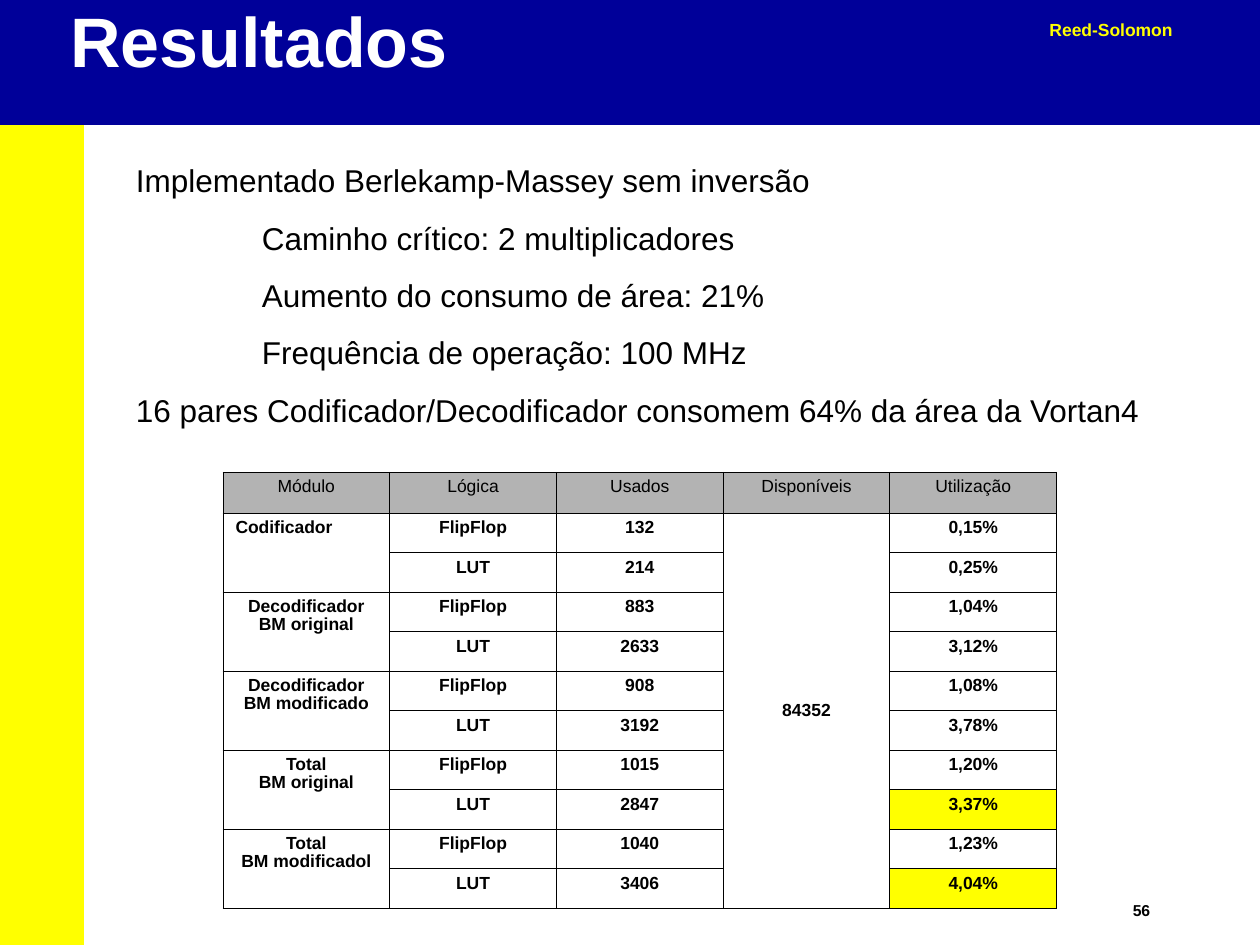
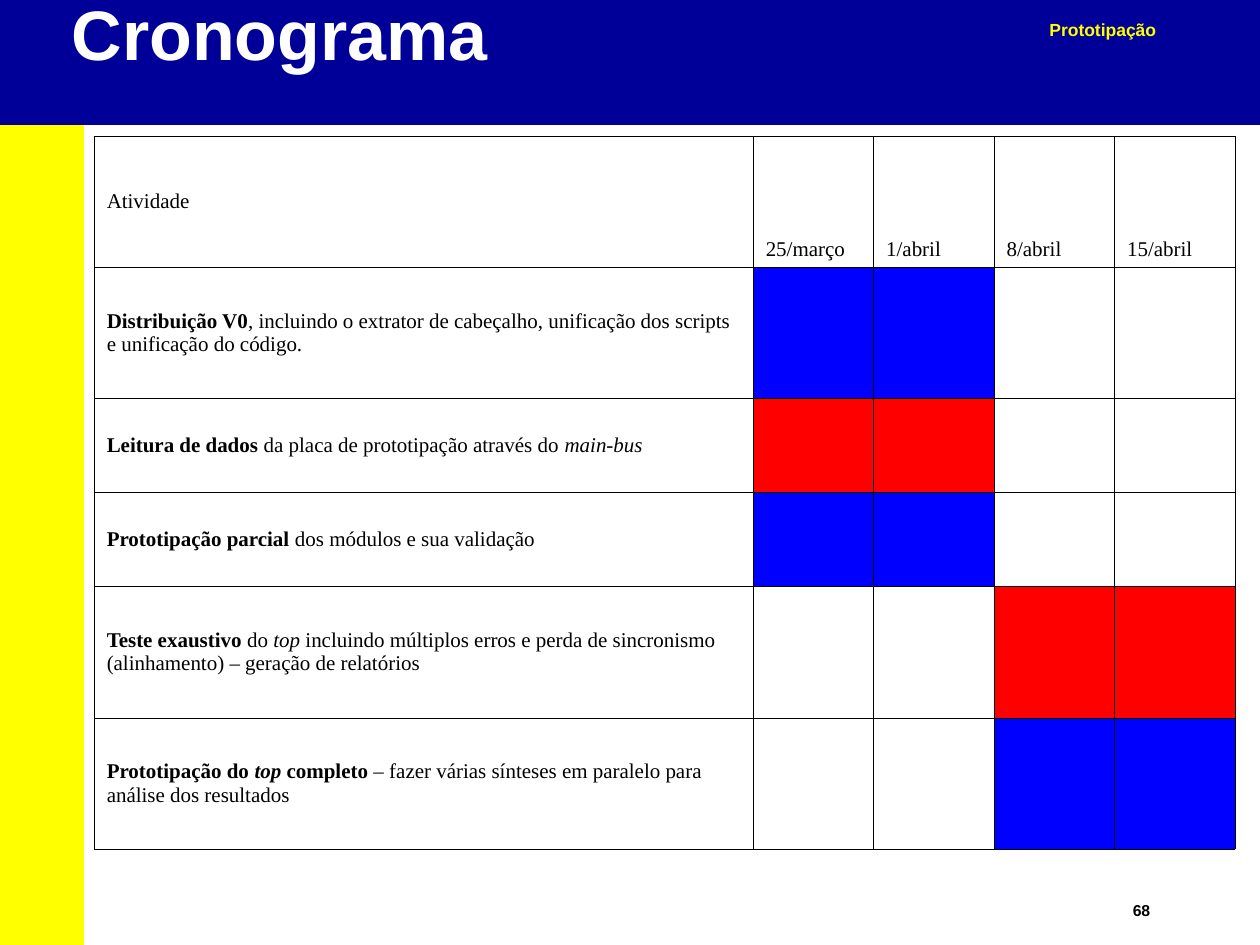
from dataclasses import dataclass

from lxml.etree import SubElement
from pptx import Presentation
from pptx.dml.color import RGBColor
from pptx.enum.shapes import MSO_SHAPE
from pptx.enum.text import MSO_ANCHOR, PP_ALIGN
from pptx.oxml.ns import qn
from pptx.slide import Slide
from pptx.table import Table, _Cell
from pptx.text.text import TextFrame, _Paragraph
from pptx.util import Pt

BLACK = RGBColor(0x00, 0x00, 0x00)
WHITE = RGBColor(0xFF, 0xFF, 0xFF)
NAVY = RGBColor(0x00, 0x00, 0x99)
YELLOW = RGBColor(0xFF, 0xFF, 0x00)
GRAY = RGBColor(0xB3, 0xB3, 0xB3)
BLUE = RGBColor(0x00, 0x00, 0xFF)
RED = RGBColor(0xFF, 0x00, 0x00)

BORDER_WIDTH = Pt(0.45)


@dataclass(frozen=True)
class Box:
    left: float
    top: float
    width: float
    height: float

    def lengths(self) -> tuple[Pt, Pt, Pt, Pt]:
        return Pt(self.left), Pt(self.top), Pt(self.width), Pt(self.height)


@dataclass(frozen=True)
class Style:
    size: float
    color: RGBColor = BLACK
    bold: bool = False
    font: str = "Arial"
    line_spacing: float = 1.0
    align: PP_ALIGN = PP_ALIGN.LEFT


@dataclass(frozen=True)
class Span:
    text: str
    bold: bool = False
    italic: bool = False


@dataclass(frozen=True)
class Module:
    lines: tuple[str, ...]
    flip_flops: tuple[str, str]
    luts: tuple[str, str]
    highlighted: bool = False
    align: PP_ALIGN = PP_ALIGN.CENTER


@dataclass(frozen=True)
class Activity:
    spans: tuple[Span, ...]
    height: float
    color: RGBColor
    weeks: tuple[int, int]


TITLE = Style(40, WHITE, True, line_spacing=0.87)
TOPIC = Style(10, YELLOW, True)
PAGE_NUMBER = Style(9, bold=True, line_spacing=0.97)
BODY = Style(18)
RESULT_HEADER = Style(10, line_spacing=0.9, align=PP_ALIGN.CENTER)
RESULT = Style(10, bold=True, line_spacing=0.9, align=PP_ALIGN.CENTER)
RESULT_LEFT = Style(10, bold=True, line_spacing=0.9)
SCHEDULE = Style(12, font="Times New Roman")

BANDS = (
    (Box(0, 66.2, 48, 473.8), YELLOW),
    (Box(0, 0, 720, 71.4), NAVY),
)

FINDINGS = (
    (0, "Implementado Berlekamp-Massey sem inversão"),
    (72, "Caminho crítico: 2 multiplicadores"),
    (72, "Aumento do consumo de área: 21%"),
    (72, "Frequência de operação: 100 MHz"),
    (0, "16 pares Codificador/Decodificador consomem 64% da área da Vortan4"),
)

RESULT_COLUMNS = ("Módulo", "Lógica", "Usados", "Disponíveis", "Utilização")
MODULES = (
    Module(("Codificador",), ("132", "0,15%"), ("214", "0,25%"), align=PP_ALIGN.LEFT),
    Module(("Decodificador", "BM original"), ("883", "1,04%"), ("2633", "3,12%")),
    Module(("Decodificador", "BM modificado"), ("908", "1,08%"), ("3192", "3,78%")),
    Module(("Total", "BM original"), ("1015", "1,20%"), ("2847", "3,37%"), True),
    Module(("Total", "BM modificadol"), ("1040", "1,23%"), ("3406", "4,04%"), True),
)

DATES = ("25/março", "1/abril", "8/abril", "15/abril")
FIRST_WEEKS, LAST_WEEKS = (1, 2), (3, 4)
TALL_ROW, SHORT_ROW = 75, 53.7
ACTIVITIES = (
    Activity((Span("Distribuição V0", True),
              Span(", incluindo o extrator de cabeçalho, unificação dos scripts "
                   "e unificação do código.")),
             TALL_ROW, BLUE, FIRST_WEEKS),
    Activity((Span("Leitura de dados", True),
              Span(" da placa de prototipação através do "),
              Span("main-bus", italic=True)),
             SHORT_ROW, RED, FIRST_WEEKS),
    Activity((Span("Prototipação parcial", True),
              Span(" dos módulos e sua validação")),
             SHORT_ROW, BLUE, FIRST_WEEKS),
    Activity((Span("Teste exaustivo", True), Span(" do "), Span("top", italic=True),
              Span(" incluindo múltiplos erros e perda de sincronismo "
                   "(alinhamento) – geração de relatórios")),
             TALL_ROW, RED, LAST_WEEKS),
    Activity((Span("Prototipação do ", True), Span("top", True, True),
              Span(" completo", True),
              Span(" – fazer várias sínteses em paralelo para análise dos resultados")),
             TALL_ROW, BLUE, LAST_WEEKS),
)


def write_spans(paragraph: _Paragraph, spans: tuple[Span, ...], style: Style) -> None:
    paragraph.alignment = style.align
    paragraph.line_spacing = style.line_spacing
    for span in spans:
        run = paragraph.add_run()
        run.text = span.text
        run.font.name = style.font
        run.font.size = Pt(style.size)
        run.font.color.rgb = style.color
        run.font.bold = span.bold
        run.font.italic = span.italic


def write_lines(frame: TextFrame, lines: tuple[str, ...], style: Style) -> None:
    for index, line in enumerate(lines):
        paragraph = frame.add_paragraph() if index else frame.paragraphs[0]
        write_spans(paragraph, (Span(line, style.bold),), style)


def add_text(slide: Slide, box: Box, lines: tuple[str, ...], style: Style,
             margins: tuple[float, float] = (7.2, 3.6)) -> TextFrame:
    frame = slide.shapes.add_textbox(*box.lengths()).text_frame
    frame.word_wrap = True
    frame.margin_left = frame.margin_right = Pt(margins[0])
    frame.margin_top = frame.margin_bottom = Pt(margins[1])
    write_lines(frame, lines, style)
    return frame


def add_base_slide(presentation: Presentation, title: str, title_box: Box,
                   topic: str, number: str) -> Slide:
    slide = presentation.slides.add_slide(presentation.slide_layouts[6])
    for box, color in BANDS:
        band = slide.shapes.add_shape(MSO_SHAPE.RECTANGLE, *box.lengths())
        band.shadow.inherit = False
        band.fill.solid()
        band.fill.fore_color.rgb = color
        band.line.fill.background()
    tight = (4.3, 1.4)
    add_text(slide, Box(643, 514, 52, 13.7), (number,), PAGE_NUMBER, tight)
    add_text(slide, title_box, (title,), TITLE, tight)
    add_text(slide, Box(592.6, 7.2, 187, 19.4), (topic,), TOPIC)
    return slide


def fill_cell(cell: _Cell, color: RGBColor) -> None:
    cell.fill.solid()
    cell.fill.fore_color.rgb = color


def draw_borders(cell: _Cell) -> None:
    """Put thin black lines on all four sides, ahead of the cell's fill."""
    properties = cell._tc.get_or_add_tcPr()
    for position, side in enumerate(("a:lnL", "a:lnR", "a:lnT", "a:lnB")):
        line = SubElement(properties, qn(side), w=str(BORDER_WIDTH))
        fill = SubElement(line, qn("a:solidFill"))
        SubElement(fill, qn("a:srgbClr"), val=str(BLACK))
        properties.insert(position, line)


def add_grid(slide: Slide, left: float, top: float,
             widths: list[float], heights: list[float]) -> Table:
    """Add a bordered table without fills, sized by its columns and rows."""
    box = Box(left, top, sum(widths), sum(heights))
    table = slide.shapes.add_table(len(heights), len(widths), *box.lengths()).table
    table.first_row = table.horz_banding = False
    for column, width in zip(table.columns, widths):
        column.width = Pt(width)
    for row, height in zip(table.rows, heights):
        row.height = Pt(height)
    for cell in table.iter_cells():
        cell.fill.background()
        draw_borders(cell)
    return table


def add_findings(slide: Slide) -> None:
    lines = tuple(text for _, text in FINDINGS)
    frame = add_text(slide, Box(70.6, 88.6, 623.5, 160.6), lines, BODY)
    for paragraph, (indent, _) in zip(frame.paragraphs, FINDINGS):
        paragraph.space_before = Pt(11.2)
        paragraph._p.get_or_add_pPr().set("marL", str(Pt(indent)))


def add_results_table(slide: Slide) -> None:
    table = add_grid(slide, 127.4, 269.8, [95.3] * 5, [23.5] + [22.57] * 10)
    for column, name in enumerate(RESULT_COLUMNS):
        cell = table.cell(0, column)
        fill_cell(cell, GRAY)
        write_lines(cell.text_frame, (name,), RESULT_HEADER)

    for index, module in enumerate(MODULES):
        top = 1 + 2 * index
        name_cell = table.cell(top, 0)
        name_cell.merge(table.cell(top + 1, 0))
        name_style = RESULT_LEFT if module.align == PP_ALIGN.LEFT else RESULT
        write_lines(name_cell.text_frame, module.lines, name_style)
        logic_rows = (("FlipFlop", *module.flip_flops), ("LUT", *module.luts))
        for row, values in enumerate(logic_rows, top):
            for column, value in zip((1, 2, 4), values):
                write_lines(table.cell(row, column).text_frame, (value,), RESULT)
        if module.highlighted:
            fill_cell(table.cell(top + 1, 4), YELLOW)

    available = table.cell(1, 3)
    available.merge(table.cell(10, 3))
    available.vertical_anchor = MSO_ANCHOR.MIDDLE
    write_lines(available.text_frame, ("84352",), RESULT)


def add_schedule_table(slide: Slide) -> None:
    heights = [TALL_ROW] + [activity.height for activity in ACTIVITIES]
    table = add_grid(slide, 53.8, 77.9, [376.6] + [68.85] * 4, heights)
    for column, heading in enumerate(("Atividade", *DATES)):
        cell = table.cell(0, column)
        cell.vertical_anchor = MSO_ANCHOR.BOTTOM if column else MSO_ANCHOR.MIDDLE
        write_lines(cell.text_frame, (heading,), SCHEDULE)
    for row, activity in enumerate(ACTIVITIES, 1):
        cell = table.cell(row, 0)
        cell.vertical_anchor = MSO_ANCHOR.MIDDLE
        write_spans(cell.text_frame.paragraphs[0], activity.spans, SCHEDULE)
        for week in activity.weeks:
            fill_cell(table.cell(row, week), activity.color)


def main() -> None:
    presentation = Presentation()
    presentation.slide_width = Pt(720)
    presentation.slide_height = Pt(540)

    results = add_base_slide(presentation, "Resultados", Box(36, 3.6, 648, 45.4),
                             "Reed-Solomon", "56")
    add_findings(results)
    add_results_table(results)

    schedule = add_base_slide(presentation, "Cronograma", Box(36.7, 0, 648, 90),
                              "Prototipação", "68")
    add_schedule_table(schedule)

    presentation.save("out.pptx")


if __name__ == "__main__":
    main()
